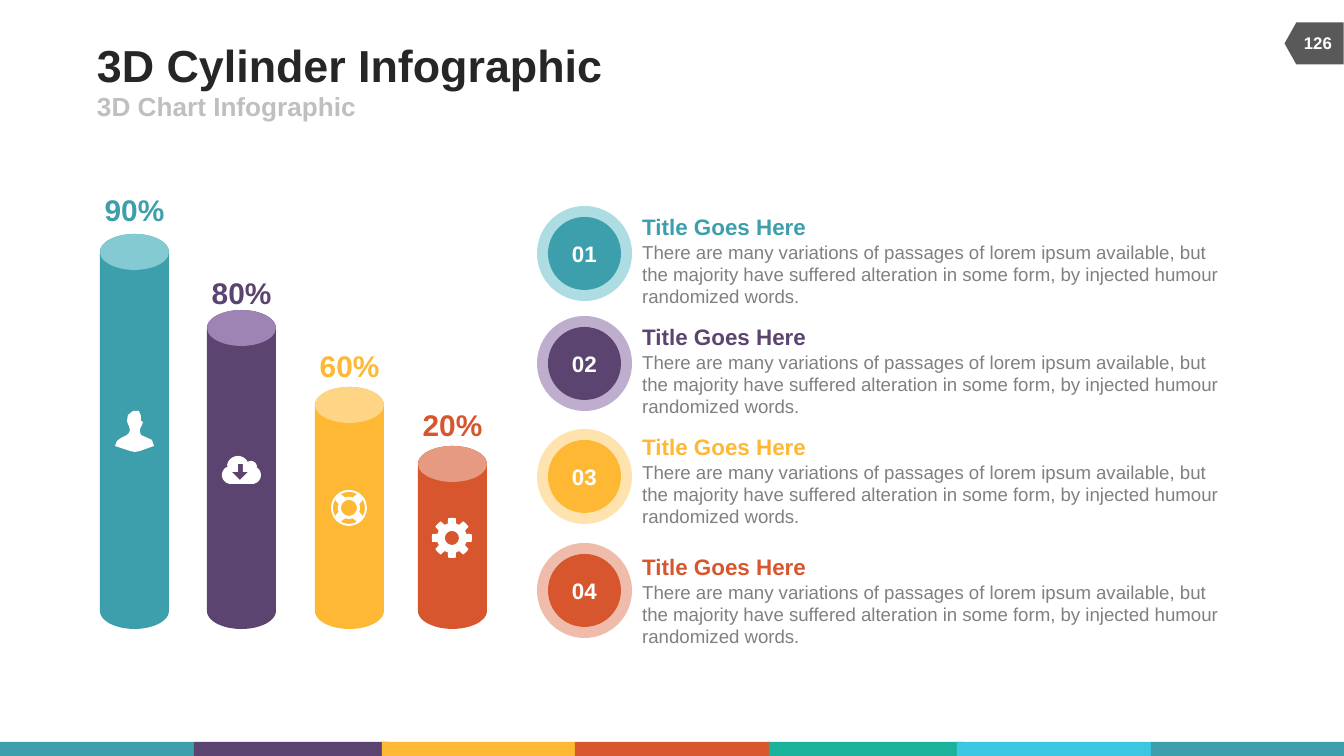
"""Builds the 3D cylinder infographic slide."""
from math import cos, radians, sin

from lxml import etree
from pptx import Presentation
from pptx.dml.color import RGBColor
from pptx.enum.shapes import MSO_SHAPE
from pptx.enum.text import MSO_ANCHOR, MSO_AUTO_SIZE, PP_ALIGN
from pptx.oxml.ns import qn
from pptx.util import Pt

RECTANGLE, ELLIPSE = MSO_SHAPE.RECTANGLE, MSO_SHAPE.OVAL
PAGE_TAG = MSO_SHAPE.FLOWCHART_OFFPAGE_CONNECTOR
LEFT, CENTER = PP_ALIGN.LEFT, PP_ALIGN.CENTER
TOP, MIDDLE, BOTTOM = MSO_ANCHOR.TOP, MSO_ANCHOR.MIDDLE, MSO_ANCHOR.BOTTOM
NO_FIT = MSO_AUTO_SIZE.NONE

TEAL = RGBColor(0x3D, 0x9F, 0xAC)
PURPLE = RGBColor(0x5B, 0x44, 0x70)
YELLOW = RGBColor(0xFE, 0xB8, 0x34)
ORANGE = RGBColor(0xD7, 0x56, 0x2E)
GREEN = RGBColor(0x1B, 0xB2, 0x9C)
SKY = RGBColor(0x3B, 0xC7, 0xE2)
TEAL_CAP = RGBColor(0x84, 0xCA, 0xD3)
PURPLE_CAP = RGBColor(0x9D, 0x84, 0xB4)
YELLOW_CAP = RGBColor(0xFE, 0xD4, 0x85)
ORANGE_CAP = RGBColor(0xE7, 0x9A, 0x82)
TEAL_RING = RGBColor(0xAD, 0xDC, 0xE2)
PURPLE_RING = RGBColor(0xBE, 0xAD, 0xCD)
YELLOW_RING = RGBColor(0xFF, 0xE3, 0xAE)
ORANGE_RING = RGBColor(0xEF, 0xBB, 0xAB)
WHITE = RGBColor(0xFF, 0xFF, 0xFF)
INK = RGBColor(0x26, 0x26, 0x26)
DARK = RGBColor(0x59, 0x59, 0x59)
GRAY = RGBColor(0x80, 0x80, 0x80)
SILVER = RGBColor(0xBF, 0xBF, 0xBF)

PX = 914400 / 134.4
BODY_TEXT = (
    "There are many variations of passages of lorem ipsum available, but the majority "
    "have suffered alteration in some form, by injected humour randomized words."
)


def arc(x, y, rx, ry, start, end, steps=24):
    """Return points in px along an elliptical arc given in degrees."""
    angles = [radians(start + (end - start) * i / steps) for i in range(steps + 1)]
    return [(x + rx * cos(a), y + ry * sin(a)) for a in angles]


def paint(shape, color):
    """Give a shape a flat fill without line or shadow."""
    shape.shadow.inherit = False
    shape.fill.solid()
    shape.fill.fore_color.rgb = color
    shape.line.fill.background()
    return shape


deck = Presentation()
deck.slide_width, deck.slide_height = round(1344 * PX), round(756 * PX)
page = deck.slides.add_slide(deck.slide_layouts[1])
shapes = page.shapes
texts = []

strip_colors = [TEAL, PURPLE, YELLOW, ORANGE, GREEN, SKY, TEAL]
for x, color in zip([0, 194, 382, 575, 769, 957, 1151], strip_colors):
    frame = [round(n * PX) for n in (x, 742, 194, 14)]
    paint(shapes.add_shape(RECTANGLE, *frame), color)

frame = [round(n * PX) for n in (1293, 14, 42, 59)]
tag = paint(shapes.add_shape(PAGE_TAG, *frame), DARK)
tag.rotation = 90
number = shapes.add_textbox(*[round(n * PX) for n in (1290, 23, 56, 40)])
texts.append((number, MIDDLE, CENTER, 0, True, [("126", 9, WHITE, True)]))

headings = [
    (shapes.title, (97, 39, 829, 52), "3D Cylinder Infographic", 24, INK),
    (page.placeholders[1], (97, 91, 605, 30), "3D Chart Infographic", 14, SILVER),
]
for box, frame, words, size, color in headings:
    box.left, box.top, box.width, box.height = [round(n * PX) for n in frame]
    texts.append((box, MIDDLE, LEFT, 0, False, [(words, size, color, True)]))
properties = page.placeholders[1].text_frame.paragraphs[0]._p.get_or_add_pPr()
properties.set("marL", "0")
properties.set("indent", "0")
etree.SubElement(properties, qn("a:buNone"))

cylinders = [
    (100, 234, 192, "90%", TEAL, TEAL_CAP),
    (207, 310, 275, "80%", PURPLE, PURPLE_CAP),
    (315, 387, 348, "60%", YELLOW, YELLOW_CAP),
    (418, 446, 407, "20%", ORANGE, ORANGE_CAP),
]
person = [
    (139, 411), (141, 416), (141, 421), (143, 422), (142, 425), (140, 429),
    (140, 432), (141, 435), (152, 440), (154, 446), (140, 451), (135, 452),
    (130, 451), (115, 446), (117, 441), (121, 438), (127, 435), (129, 433),
    (130, 430), (129, 426), (128, 424), (127, 421), (128, 415), (133, 411),
]
cloud = (
    arc(231, 475, 9, 9, 90, 250) + arc(238, 467, 11, 11, 190, 330)
    + arc(251, 467, 6, 6, 230, 360) + arc(252, 475, 9, 9, 290, 450)
)
arrow = [(243, 472), (243, 464), (238, 464), (238, 472), (232, 472), (240, 480), (248, 472)]
buoy = [arc(349, 508, 18, 18, 0, 360), arc(349, 508, 8, 8, 0, 360)]
for a in range(0, 360, 90):
    buoy.append(arc(349, 508, 16, 16, a - 31, a + 31) + arc(349, 508, 11, 11, a + 20, a - 20))
gear = []
for a in range(0, 360, 45):
    gear += [
        arc(452, 538, 15, 15, a - 16, a - 16, 1)[0],
        *arc(452, 538, 20, 20, a - 11, a + 11, 4),
        arc(452, 538, 15, 15, a + 16, a + 16, 1)[0],
    ]
icons = [[person], [cloud, arrow], buoy, [gear, arc(452, 538, 7, 7, 0, 360)]]

for (x, top, label_top, share, color, cap_color), icon in zip(cylinders, icons):
    middle = x + 34.5
    wall = arc(middle, top + 18, 34.5, 18, 180, 360) + arc(middle, 611, 34.5, 18, 0, 180)
    for contours, fill in (([wall], color), (icon, WHITE)):
        builder = None
        for contour in contours:
            points = [(round(px * PX), round(py * PX)) for px, py in contour]
            if builder is None:
                builder = shapes.build_freeform(*points[0], scale=1.0)
            else:
                builder.move_to(*points[0])
            builder.add_line_segments(points[1:], close=True)
        paint(builder.convert_to_shape(), fill)
    frame = [round(n * PX) for n in (x, top, 69, 36)]
    paint(shapes.add_shape(ELLIPSE, *frame), cap_color)
    label = shapes.add_textbox(*[round(n * PX) for n in (x + 4, label_top, 61, 36)])
    texts.append((label, BOTTOM, CENTER, 0, False, [(share, 16, color, True)]))

items = [
    ("01", 206, 207, TEAL, TEAL_RING),
    ("02", 316, 317, PURPLE, PURPLE_RING),
    ("03", 429, 427, YELLOW, YELLOW_RING),
    ("04", 543, 547, ORANGE, ORANGE_RING),
]
for digits, ring_top, text_top, color, ring_color in items:
    frame = [round(n * PX) for n in (537, ring_top, 95, 95)]
    paint(shapes.add_shape(ELLIPSE, *frame), ring_color)
    frame = [round(n * PX) for n in (548, ring_top + 11, 73, 73)]
    disc = paint(shapes.add_shape(ELLIPSE, *frame), color)
    texts.append((disc, MIDDLE, CENTER, 0, True, [(digits, 12, WHITE, True)]))
    box = shapes.add_textbox(*[round(n * PX) for n in (629, text_top, 618, 109)])
    lines = [("Title Goes Here", 12, color, True), (BODY_TEXT, 10, GRAY, False)]
    texts.append((box, TOP, LEFT, 1, True, lines))

for box, anchor, align, inset, wrap, lines in texts:
    text = box.text_frame
    layout = {
        "auto_size": NO_FIT, "word_wrap": wrap, "vertical_anchor": anchor,
        "margin_left": Pt(7.2 * inset), "margin_right": Pt(7.2 * inset),
        "margin_top": Pt(3.6 * inset), "margin_bottom": Pt(3.6 * inset),
    }
    for name, value in layout.items():
        setattr(text, name, value)
    for i, (words, size, color, bold) in enumerate(lines):
        para = text.add_paragraph() if i else text.paragraphs[0]
        para.alignment = align
        para.space_before = Pt(0)
        span = para.add_run()
        span.text = words
        for name, value in {"name": "Arial", "size": Pt(size), "bold": bold}.items():
            setattr(span.font, name, value)
        span.font.color.rgb = color

deck.save("out.pptx")
